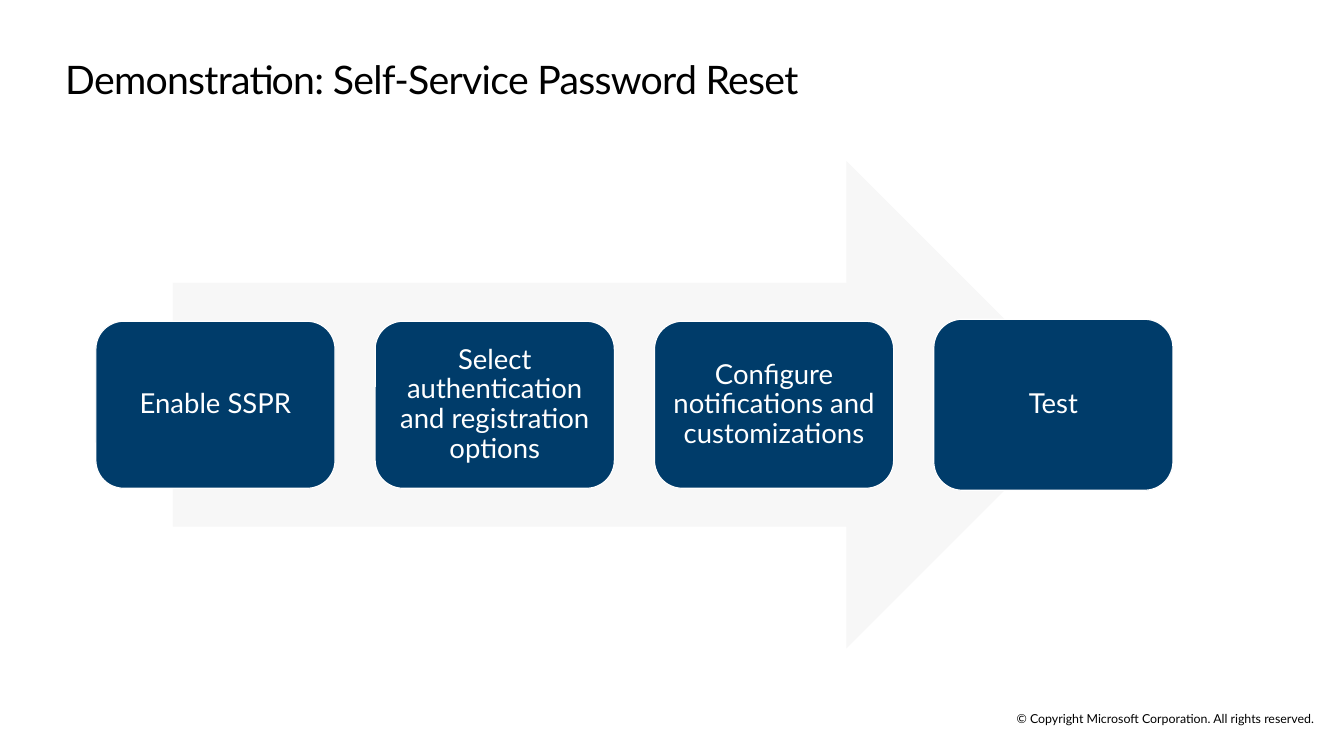
from pptx import Presentation
from pptx.dml.color import RGBColor
from pptx.enum.shapes import MSO_SHAPE
from pptx.enum.text import MSO_ANCHOR, PP_ALIGN
from pptx.util import Pt

ARROW, CARD = MSO_SHAPE.RIGHT_ARROW, MSO_SHAPE.ROUNDED_RECTANGLE
LEFT, CENTER = PP_ALIGN.LEFT, PP_ALIGN.CENTER
TOP, MIDDLE = MSO_ANCHOR.TOP, MSO_ANCHOR.MIDDLE

FONT = "Lato"
BLACK, WHITE, NAVY, PALE = "000000", "FFFFFF", "003C6A", "F7F7F7"

TITLE = "Demonstration: Self-Service Password Reset"
COPYRIGHT = "© Copyright Microsoft Corporation. All rights reserved."
STEPS = [  # label, card height
    ("Enable SSPR", 121.7),
    ("Select authentication and registration options", 121.7),
    ("Configure notifications and customizations", 121.7),
    ("Test", 124.6),
]

CARD_LEFT, CARD_WIDTH, CARD_PITCH = 69.84, 174.24, 203.5
MID_Y = 294.9
ARROW_LEFT, ARROW_WIDTH, ARROW_HEIGHT = 126, 668.2, 355


def color(value):
    return RGBColor.from_string(value)


def set_text(sp, text, size, fill=BLACK, align=CENTER, anchor=MIDDLE,
             insets=(0, 0, 0, 0), line_spacing=1.0, tracking=0):
    """Fill a shape with one paragraph; insets run left, top, right, bottom."""
    tf = sp.text_frame
    tf.word_wrap = True
    tf.vertical_anchor = anchor
    tf.margin_left, tf.margin_top, tf.margin_right, tf.margin_bottom = map(Pt, insets)
    p = tf.paragraphs[0]
    p.alignment, p.line_spacing = align, line_spacing
    r = p.add_run()
    r.text = text
    r.font.name, r.font.size = FONT, Pt(size)
    r.font.color.rgb = color(fill)
    if tracking:
        r.font._element.set("spc", str(round(tracking * 100)))


def add_shape(s, kind, left, width, height, fill, line=None):
    """Add a preset shape centred vertically on MID_Y."""
    sp = s.shapes.add_shape(kind, Pt(left), Pt(MID_Y - height / 2), Pt(width), Pt(height))
    sp.shadow.inherit = False
    sp.fill.solid()
    sp.fill.fore_color.rgb = color(fill)
    if line:
        sp.line.color.rgb = color(line)
        sp.line.width = Pt(0.85)
    else:
        sp.line.fill.background()
    return sp


def main():
    prs = Presentation()
    prs.slide_width, prs.slide_height = Pt(979.2), Pt(550.8)
    s = prs.slides.add_slide(prs.slide_layouts[6])

    title = s.shapes.add_textbox(Pt(47.5), Pt(36.7), Pt(885), Pt(34.6))
    set_text(title, TITLE, 28.6, align=LEFT, anchor=TOP,
             insets=(0, 7.2, 11.5, 7.2), line_spacing=0.9, tracking=-0.5)

    add_shape(s, ARROW, ARROW_LEFT, ARROW_WIDTH, ARROW_HEIGHT, PALE)
    for i, (label, height) in enumerate(STEPS):
        card = add_shape(s, CARD, CARD_LEFT + i * CARD_PITCH, CARD_WIDTH, height, NAVY, WHITE)
        set_text(card, label, 20, WHITE, insets=(5.8,) * 4, line_spacing=0.9)

    footer = s.shapes.add_textbox(Pt(718.6), Pt(518.4), Pt(260.6), Pt(10.8))
    set_text(footer, COPYRIGHT, 9)

    prs.save("out.pptx")


if __name__ == "__main__":
    main()
